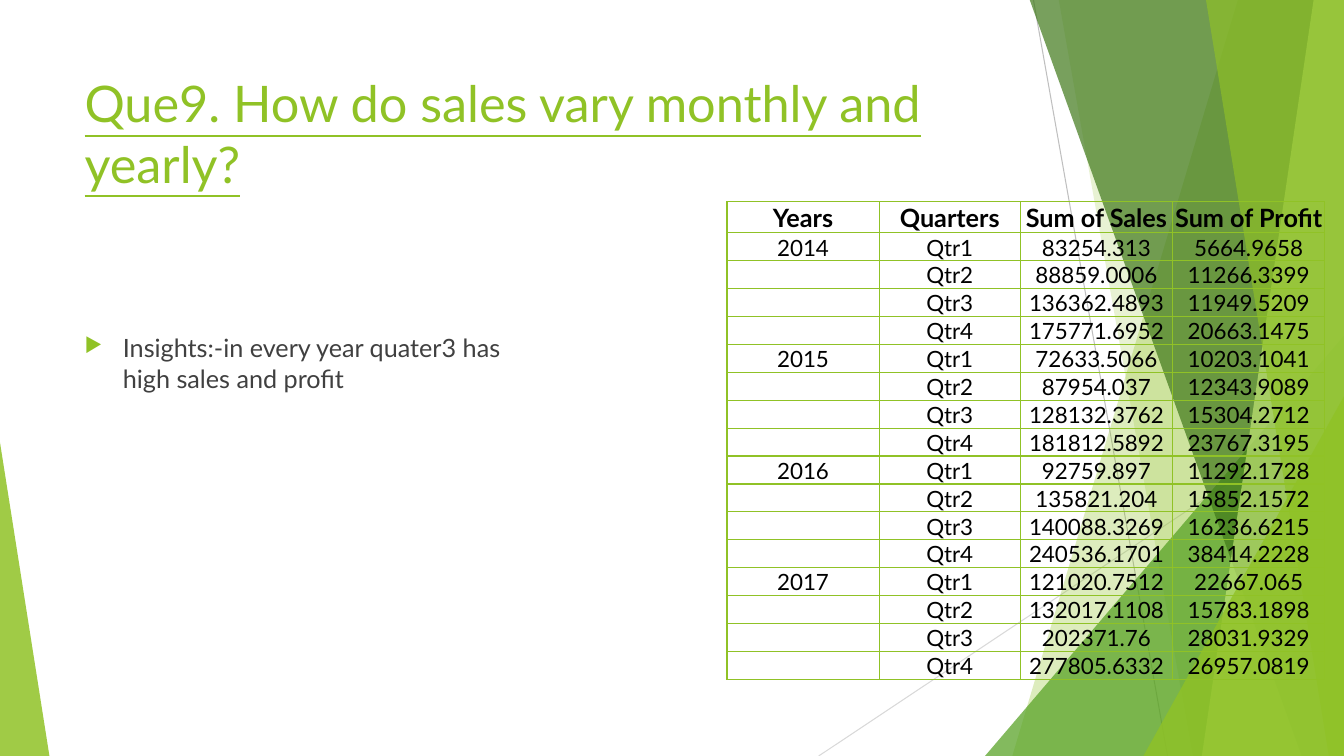
from dataclasses import dataclass

from lxml.etree import SubElement
from pptx import Presentation
from pptx.dml.color import RGBColor
from pptx.enum.shapes import MSO_CONNECTOR, MSO_SHAPE
from pptx.enum.text import MSO_ANCHOR, PP_ALIGN
from pptx.oxml import parse_xml
from pptx.oxml.ns import nsdecls, qn
from pptx.util import Inches, Pt


@dataclass(frozen=True)
class Theme:
    font: str = "Lato"
    lime: str = "90C226"
    pale_lime: str = "C0E474"
    green: str = "54A021"
    dark_green: str = "3F7819"
    body: str = "404040"
    black: str = "000000"
    line_dark: str = "BFBFBF"
    line_light: str = "D9D9D9"
    title_size: int = 36
    body_size: int = 18
    cell_size: int = 16


theme = Theme()


def paint(shape, color, opacity):
    """Give a shape a see-through fill without outline or shadow."""
    shape.shadow.inherit = False
    shape.line.fill.background()
    shape.fill.solid()
    shape.fill.fore_color.rgb = RGBColor.from_string(color)
    color_node = shape.fill._xPr.find(qn("a:solidFill"))[0]
    SubElement(color_node, qn("a:alpha"), val=str(opacity * 1000))


def style_text(para, size, color, bold=False, underline=False):
    for span in para.runs:
        span.font.name = theme.font
        span.font.size = Pt(size)
        span.font.color.rgb = RGBColor.from_string(color)
        span.font.bold = bold
        span.font.underline = underline


deck = Presentation()
deck.slide_width, deck.slide_height = Inches(13.33), Inches(7.5)
page = deck.slides.add_slide(deck.slide_layouts[6])
shapes = page.shapes

# Thin background lines
for start_x, start_y, end_x, color in [
    (10.25, 0, 11.58, theme.line_dark),
    (13.33, 4.03, 8.12, theme.line_light),
]:
    line = shapes.add_connector(
        MSO_CONNECTOR.STRAIGHT,
        Inches(start_x), Inches(start_y), Inches(end_x), Inches(7.5),
    )
    line.line.color.rgb = RGBColor.from_string(color)
    line.line.width = Pt(0.75)
    SubElement(line._element.spPr, qn("a:effectLst"))

# Facets: bands run from top to bottom along the right edge,
# triangles are given as left, top, width, height, apex position
facets = [
    ("band", (12.28, 10.04), theme.lime, 30),
    ("band", (10.5, 11.83), theme.lime, 20),
    ("triangle", (9.77, 3.33, 3.56, 4.17, 1), theme.green, 72),
    ("band", (10.21, 12.91), theme.dark_green, 70),
    ("band", (13.03, 11.92), theme.pale_lime, 70),
    ("band", (11.96, 13.18), theme.lime, 65),
    ("triangle", (11.34, 3.93, 1.99, 3.57, 1), theme.lime, 80),
    ("triangle", (0, 4.39, 0.49, 3.11, 0), theme.lime, 85),
]
for kind, geometry, color, opacity in facets:
    if kind == "band":
        top_x, bottom_x = geometry
        outline = shapes.build_freeform(Inches(top_x), Inches(-0.01))
        corners = [(13.33, -0.01), (13.33, 7.5), (bottom_x, 7.5)]
        outline.add_line_segments([(Inches(x), Inches(y)) for x, y in corners])
        facet = outline.convert_to_shape()
    else:
        *frame, apex = geometry
        facet = shapes.add_shape(
            MSO_SHAPE.ISOSCELES_TRIANGLE, *[Inches(value) for value in frame]
        )
        facet.adjustments[0] = apex
    paint(facet, color, opacity)

# Title
title_box = shapes.add_textbox(Inches(0.74), Inches(0.67), Inches(9.4), Inches(1.44))
title_box.text_frame.word_wrap = True
title_box.text_frame.text = "Que9. How do sales vary monthly and yearly?"
style_text(title_box.text_frame.paragraphs[0], theme.title_size, theme.lime, underline=True)

# Insight bullet
insight_box = shapes.add_textbox(Inches(0.74), Inches(2.36), Inches(4.58), Inches(4.24))
insight_box.text_frame.word_wrap = True
insight_box.text_frame.margin_top = Inches(0.94)
insight_box.text_frame.text = "Insights:-in every year quater3 has high sales and profit"
para = insight_box.text_frame.paragraphs[0]
style_text(para, theme.body_size, theme.body)
bullet = para._p.get_or_add_pPr()
bullet.set("marL", str(Inches(0.38)))
bullet.set("indent", str(Inches(-0.38)))
color_node = SubElement(bullet, qn("a:buClr"))
SubElement(color_node, qn("a:srgbClr"), val=theme.lime)
SubElement(bullet, qn("a:buSzPct"), val="80000")
SubElement(bullet, qn("a:buChar"), char="▶")

# Sales table: four quarters of (sales, profit) for each year
results = {
    "2014": [("83254.313", "5664.9658"), ("88859.0006", "11266.3399"),
             ("136362.4893", "11949.5209"), ("175771.6952", "20663.1475")],
    "2015": [("72633.5066", "10203.1041"), ("87954.037", "12343.9089"),
             ("128132.3762", "15304.2712"), ("181812.5892", "23767.3195")],
    "2016": [("92759.897", "11292.1728"), ("135821.204", "15852.1572"),
             ("140088.3269", "16236.6215"), ("240536.1701", "38414.2228")],
    "2017": [("121020.7512", "22667.065"), ("132017.1108", "15783.1898"),
             ("202371.76", "28031.9329"), ("277805.6332", "26957.0819")],
}
rows = [("Years", "Quarters", "Sum of Sales", "Sum of Profit")]
for year, quarters in results.items():
    for number, (sales, profit) in enumerate(quarters, 1):
        rows.append((year if number == 1 else "", f"Qtr{number}", sales, profit))

widths = [1.51, 1.4, 1.51, 1.51]
row_height = 0.25
table = shapes.add_table(
    len(rows), len(widths), Inches(7.21), Inches(2),
    Inches(sum(widths)), Inches(row_height * len(rows)),
).table
table.first_row = table.horz_banding = False
for column, width in zip(table.columns, widths):
    column.width = Inches(width)

for row_index, values in enumerate(rows):
    table.rows[row_index].height = Inches(row_height)
    is_header = row_index == 0
    for column_index, value in enumerate(values):
        cell = table.cell(row_index, column_index)
        cell.margin_left = cell.margin_right = cell.margin_top = Inches(0.01)
        cell.margin_bottom = 0
        cell.vertical_anchor = MSO_ANCHOR.BOTTOM
        para = cell.text_frame.paragraphs[0]
        para.alignment = PP_ALIGN.CENTER
        if value:
            para.text = value
            size = theme.body_size if is_header else theme.cell_size
            style_text(para, size, theme.black, bold=is_header)
        else:
            SubElement(para._p, qn("a:endParaRPr"), sz=str(theme.cell_size * 100))
        # Borders come before the fill in the cell properties
        for side in ("lnL", "lnR", "lnT", "lnB"):
            cell._tc.get_or_add_tcPr().append(parse_xml(
                f'<a:{side} {nsdecls("a")} w="{Pt(1)}"><a:solidFill>'
                f'<a:srgbClr val="{theme.lime}"/></a:solidFill></a:{side}>'
            ))
        cell.fill.background()

deck.save("out.pptx")
